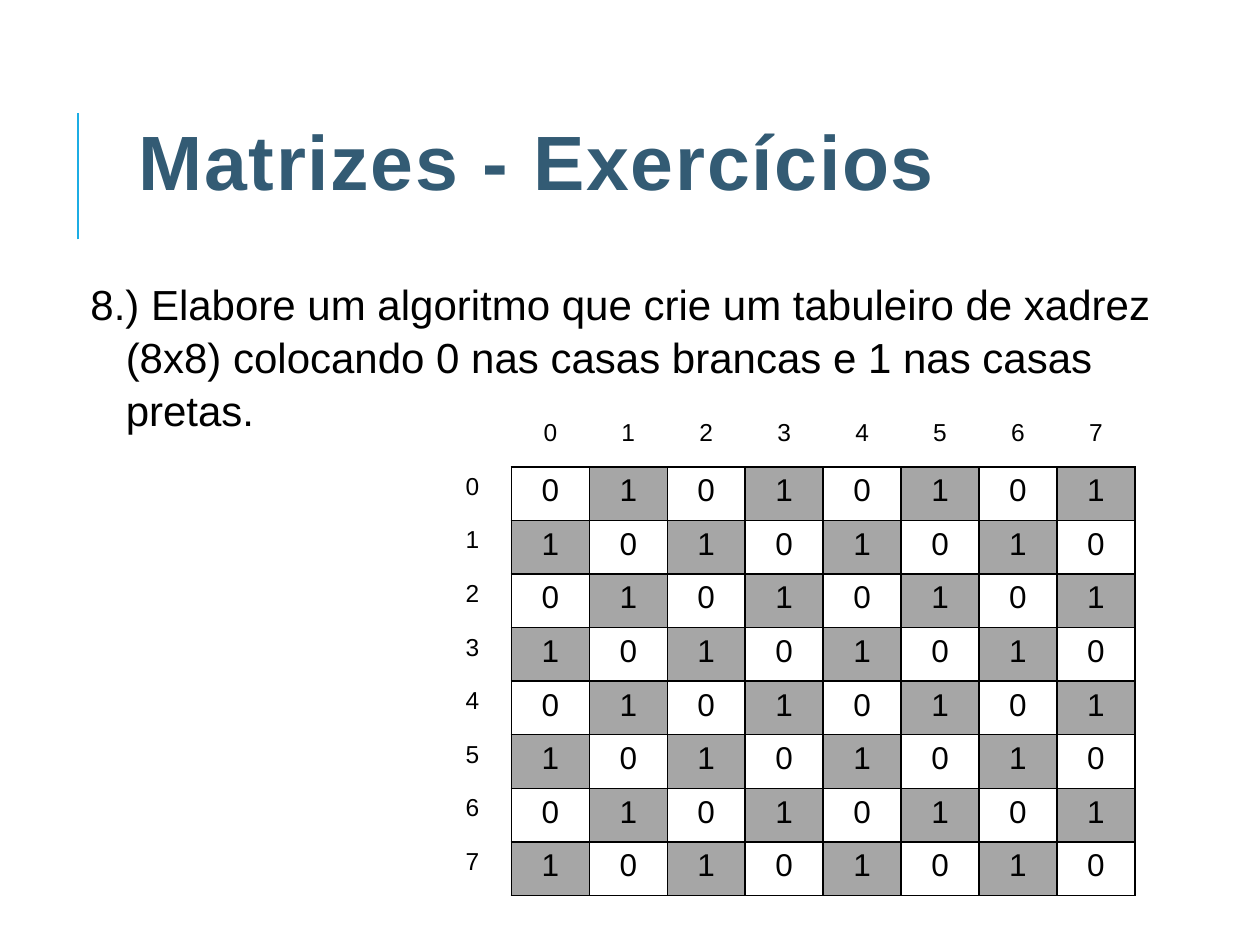
"""Build the slide with the chessboard matrix exercise."""
from dataclasses import dataclass

from lxml.etree import SubElement
from pptx import Presentation
from pptx.dml.color import RGBColor
from pptx.enum.shapes import MSO_CONNECTOR
from pptx.enum.text import MSO_ANCHOR, PP_ALIGN
from pptx.oxml.ns import qn
from pptx.util import Inches, Pt

SIZE = 8
BLACK = "000000"
GRAY = "A6A6A6"


@dataclass
class TextStyle:
    size: float
    color: str = BLACK
    bold: bool = False


@dataclass
class Square:
    text: str
    style: TextStyle
    sides: str
    fill: str = ""


LABEL = TextStyle(14)
VALUE = TextStyle(18)


def rgb(color: str) -> RGBColor:
    return RGBColor.from_string(color)


def add_run(p, text: str, style: TextStyle):
    r = p.add_run()
    r.text = text
    r.font.name = "Arial"
    r.font.size = Pt(style.size)
    r.font.bold = style.bold
    r.font.color.rgb = rgb(style.color)
    return r


def add_text(s, box: tuple, text: str, style: TextStyle, anchor: MSO_ANCHOR):
    tf = s.shapes.add_textbox(*map(Inches, box)).text_frame
    tf.word_wrap = True
    tf.vertical_anchor = anchor
    p = tf.paragraphs[0]
    return p, add_run(p, text, style)


def add_accent(s) -> None:
    line = s.shapes.add_connector(
        MSO_CONNECTOR.STRAIGHT, Inches(0.62), Inches(1.9), Inches(0.62), Inches(0.9))
    line.line.color.rgb = rgb("1CADE4")
    line.line.width = Pt(1.5)
    SubElement(line._element.spPr, qn("a:effectLst"))


def set_borders(cell, sides: str) -> None:
    tc_pr = cell._tc.get_or_add_tcPr()
    for side in "LRTB":
        ln = SubElement(tc_pr, qn(f"a:ln{side}"), w=str(Pt(1)))
        if side in sides:
            fill = SubElement(ln, qn("a:solidFill"))
            SubElement(fill, qn("a:srgbClr"), val=BLACK)
        else:
            SubElement(ln, qn("a:noFill"))


def square_at(row: int, col: int) -> Square:
    if row == 0 and col == 0:
        return Square("", LABEL, "")
    if row == 0:
        return Square(str(col - 1), LABEL, "B")
    if col == 0:
        return Square(str(row - 1), LABEL, "R")
    value = (row + col) % 2
    return Square(str(value), VALUE, "LRTB", GRAY if value else "")


def draw_square(cell, square: Square) -> None:
    set_borders(cell, square.sides)
    if square.fill:
        cell.fill.solid()
        cell.fill.fore_color.rgb = rgb(square.fill)
    else:
        cell.fill.background()
    if square.text:
        p = cell.text_frame.paragraphs[0]
        p.alignment = PP_ALIGN.CENTER
        add_run(p, square.text, square.style)


def add_board(s) -> None:
    count = SIZE + 1
    table = s.shapes.add_table(
        count, count, Inches(3.44), Inches(3.28), Inches(5.57), Inches(3.83)).table
    table.first_row = False
    table.horz_banding = False
    for row in range(count):
        for col in range(count):
            draw_square(table.cell(row, col), square_at(row, col))


def main() -> None:
    prs = Presentation()
    prs.slide_width, prs.slide_height = Inches(10), Inches(7.5)
    s = prs.slides.add_slide(prs.slide_layouts[6])
    add_accent(s)
    _, r = add_text(s, (1, 0.64, 9, 1.25), "Matrizes - Exercícios",
                    TextStyle(44, "335B74", True), MSO_ANCHOR.MIDDLE)
    r.font._element.set("spc", "100")
    p, _ = add_text(
        s, (0.5, 2.14, 9, 1.14),
        "8.) Elabore um algoritmo que crie um tabuleiro de xadrez (8x8) "
        "colocando 0 nas casas brancas e 1 nas casas pretas.",
        TextStyle(24), MSO_ANCHOR.TOP)
    p.line_spacing = 1.05
    p_pr = p._p.get_or_add_pPr()
    p_pr.set("marL", str(Inches(0.4)))
    p_pr.set("indent", str(Inches(-0.28)))
    add_board(s)
    prs.save("out.pptx")


if __name__ == "__main__":
    main()
